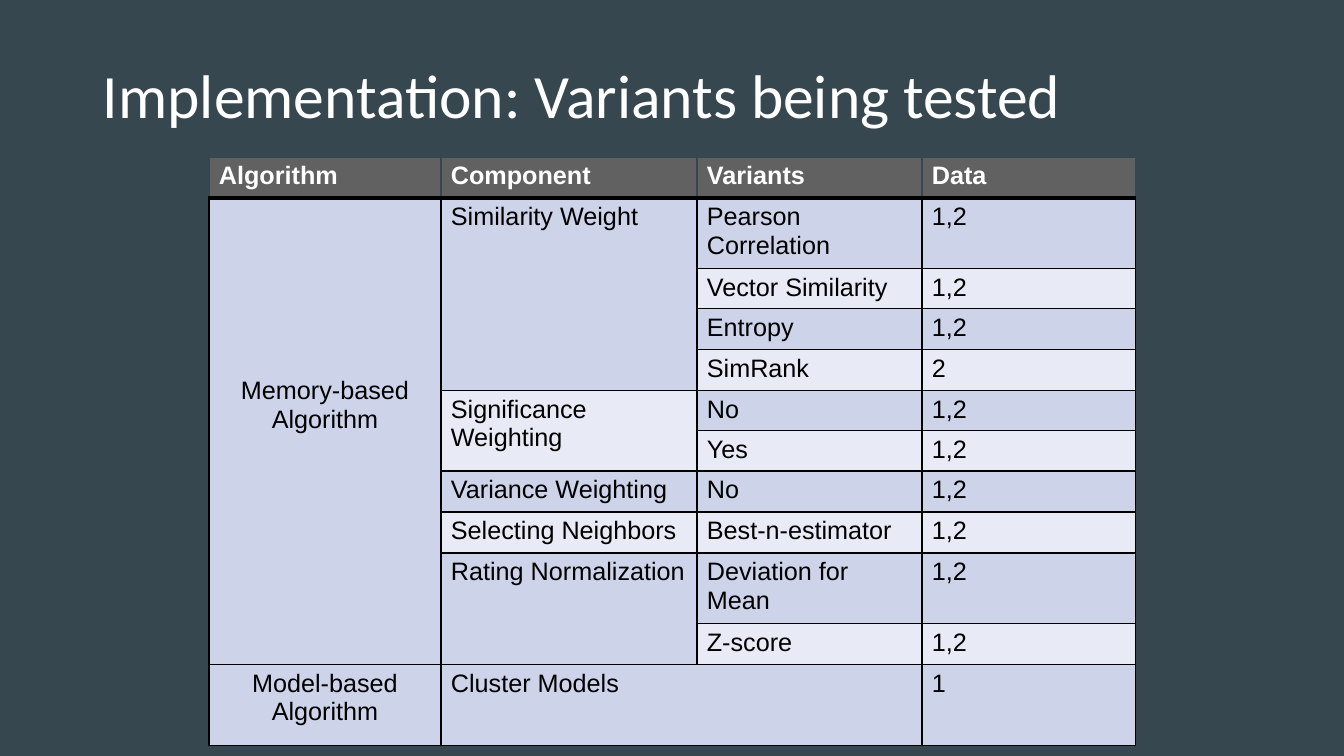
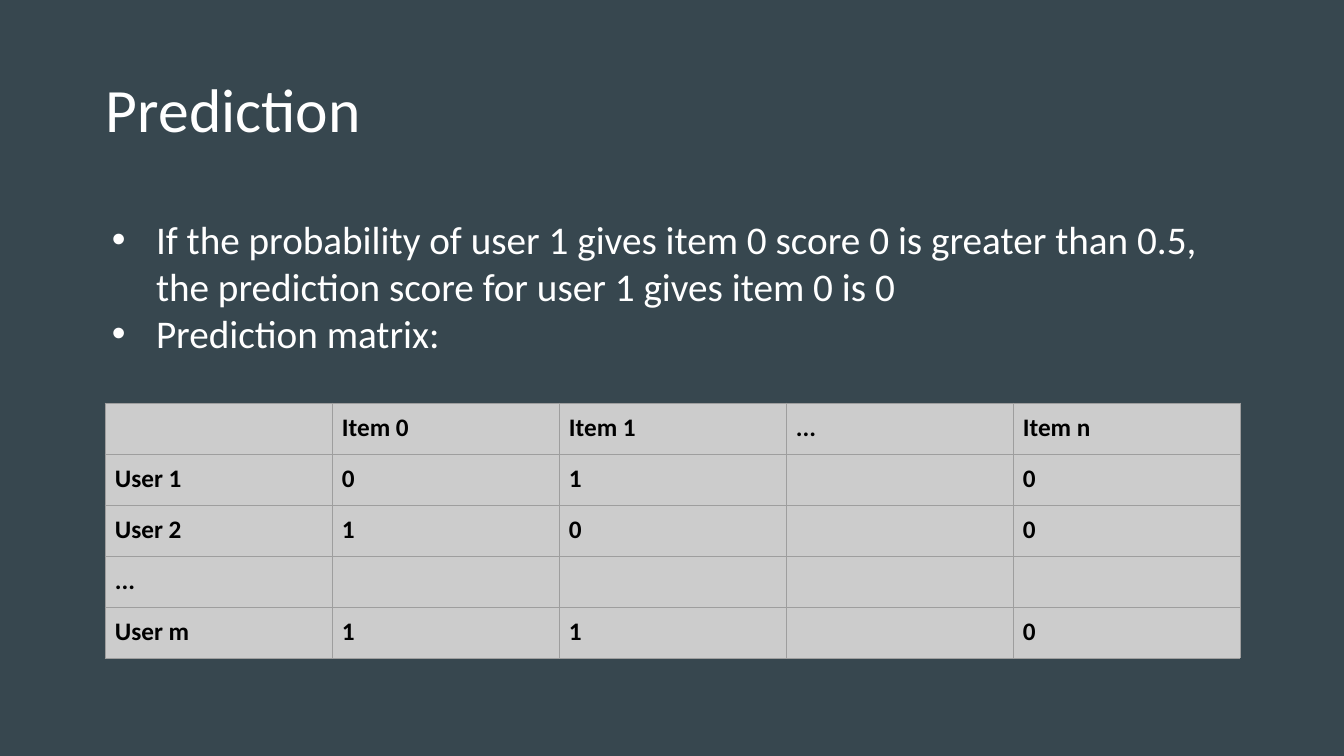
from lxml.etree import SubElement as Sub
from pptx import Presentation as Deck
from pptx.dml.color import RGBColor as Color
from pptx.enum.text import MSO_ANCHOR as ANCHOR, PP_ALIGN as ALIGN
from pptx.oxml.ns import qn
from pptx.util import Emu, Pt

SCALE = 914400 / 100.8
HUES = {
    "back": "37474F", "white": "FFFFFF", "black": "000000",
    "head": "616161", "dark": "CDD4EA", "light": "E8EBF5",
    "gray": "CCCCCC", "rule": "9E9E9E",
}
SANS, TITLE = "Arial", "Calibri"

VARIANTS = [
    ["Algorithm", "Component", "Variants", "Data"],
    ["Memory-based\nAlgorithm", "Similarity Weight", "Pearson Correlation", "1,2"],
    ["", "", "Vector Similarity", "1,2"],
    ["", "", "Entropy", "1,2"],
    ["", "", "SimRank", "2"],
    ["", "Significance Weighting", "No", "1,2"],
    ["", "", "Yes", "1,2"],
    ["", "Variance Weighting", "No", "1,2"],
    ["", "Selecting Neighbors", "Best-n-estimator", "1,2"],
    ["", "Rating Normalization", "Deviation for Mean", "1,2"],
    ["", "", "Z-score", "1,2"],
    ["Model-based\nAlgorithm", "Cluster Models", "", "1"],
]
# Each merge: first row, first column, last row, last column
MERGES = [(1, 0, 10, 0), (1, 1, 4, 1), (5, 1, 6, 1), (9, 1, 10, 1), (11, 1, 11, 2)]
MATRIX = [
    ["", "Item 0", "Item 1", "...", "Item n"],
    ["User 1", "0", "1", "", "0"],
    ["User 2", "1", "0", "", "0"],
    ["...", "", "", "", ""],
    ["User m", "1", "1", "", "0"],
]


def px(size):
    """Turn pixels into EMU."""
    return Emu(round(size * SCALE))


def hue(name):
    """Look up a named colour."""
    return Color.from_string(HUES[name])


def style(frame, font, size, name, bold=False):
    """Format every run of a text frame."""
    for para in frame.paragraphs:
        for run in para.runs:
            run.font.name, run.font.size = font, Pt(size)
            run.font.bold, run.font.color.rgb = bold, hue(name)


def inset(box, wide, high):
    """Set the margins of a text frame or a cell."""
    box.margin_left = box.margin_right = px(wide)
    box.margin_top = box.margin_bottom = px(high)


def add_text(slide, text, area, size, pad):
    """Add a wrapped white text box and return its frame."""
    frame = slide.shapes.add_textbox(*map(px, area)).text_frame
    frame.word_wrap = True
    inset(frame, *pad)
    frame.text = text
    style(frame, TITLE, size, "white")
    return frame


def add_title(slide, text, top, pad):
    """Add the slide title."""
    frame = add_text(slide, text, (93, top, 1159, 146), 44, pad)
    frame.vertical_anchor = ANCHOR.MIDDLE
    frame.paragraphs[0].line_spacing = 0.9


def add_list(slide, lines, area):
    """Add a list with hanging bullets."""
    frame = add_text(slide, "\n".join(lines), area, 28, (13, 13))
    for para in frame.paragraphs:
        props = para._p.get_or_add_pPr()
        props.set("marL", str(px(50)))
        props.set("indent", str(-px(44)))
        tint = Sub(props, qn("a:buClr"))
        Sub(tint, qn("a:srgbClr"), val=HUES["white"])
        Sub(props, qn("a:buFont"), typeface=SANS)
        Sub(props, qn("a:buChar"), char="•")


def edge(cell, lines):
    """Draw cell borders, given as (colour, points) for L, R, T and B."""
    props = cell._tc.get_or_add_tcPr()
    for side, (name, width) in zip("LRTB", lines):
        line = Sub(props, qn("a:ln" + side), w=str(Pt(width)))
        Sub(Sub(line, qn("a:solidFill")), qn("a:srgbClr"), val=HUES[name])


def paint(cell, name):
    """Fill a cell."""
    cell.fill.solid()
    cell.fill.fore_color.rgb = hue(name)


def add_grid(slide, data, spot, cols, rows, dress):
    """Add a table; dress(cell, row, column) styles each cell."""
    size = sum(cols), sum(rows)
    grid = slide.shapes.add_table(len(rows), len(cols), *map(px, spot + size)).table
    grid.first_row = grid.horz_banding = False
    for col, wide in zip(grid.columns, cols):
        col.width = px(wide)
    for row, high in zip(grid.rows, rows):
        row.height = px(high)
    for i, line in enumerate(data):
        for j, text in enumerate(line):
            cell = grid.cell(i, j)
            cell.text = text
            dress(cell, i, j)
    return grid


def dress_test(cell, row, col):
    """Style a cell of the variants table."""
    thin, thick, blend = ("black", 1), ("black", 3), ("back", 1)
    inset(cell, 10, 5)
    if row == 0:
        edge(cell, [blend, blend, blend, thick])
        paint(cell, "head")
        style(cell.text_frame, SANS, 18, "white", True)
        return
    edge(cell, [thin, thin, thick if row == 1 else thin, thin])
    paint(cell, "dark" if row % 2 else "light")
    style(cell.text_frame, SANS, 18, "black")
    if col == 0:
        for para in cell.text_frame.paragraphs:
            para.alignment = ALIGN.CENTER


def dress_score(cell, row, col):
    """Style a cell of the prediction matrix."""
    inset(cell, 10, 10)
    edge(cell, [("rule", 0.75)] * 4)
    paint(cell, "gray")
    style(cell.text_frame, TITLE, 18, "black", True)


def show_tests(slide):
    """Build the slide of tested variants."""
    add_title(slide, "Implementation: Variants being tested", 26, (10, 5))
    rows = [41, 67, 40, 41, 41, 39, 40, 41, 41, 67, 41, 81]
    grid = add_grid(slide, VARIANTS, (209, 157), [232, 256, 225, 214], rows, dress_test)
    for top, left, low, right in MERGES:
        grid.cell(top, left).merge(grid.cell(low, right))
    paint(grid.cell(5, 1), "light")
    memory = grid.cell(1, 0)
    memory.vertical_anchor = ANCHOR.MIDDLE
    memory.margin_bottom = px(57)


def show_scores(slide):
    """Build the prediction slide."""
    add_title(slide, "Prediction", 40, (13, 13))
    add_list(slide, [
        "If the probability of user 1 gives item 0 score 0 is greater than 0.5, "
        "the prediction score for user 1 gives item 0 is 0",
        "Prediction matrix:",
    ], (93, 202, 1159, 480))
    add_grid(slide, MATRIX, (105, 403), [227] * 5, [51] * 5, dress_score)


def main():
    """Build and save the deck."""
    deck = Deck()
    deck.slide_width, deck.slide_height = px(1344), px(756)
    fill = deck.slide_master.background.fill
    fill.solid()
    fill.fore_color.rgb = hue("back")
    for show in (show_tests, show_scores):
        show(deck.slides.add_slide(deck.slide_layouts[6]))
    deck.save("out.pptx")


main()
